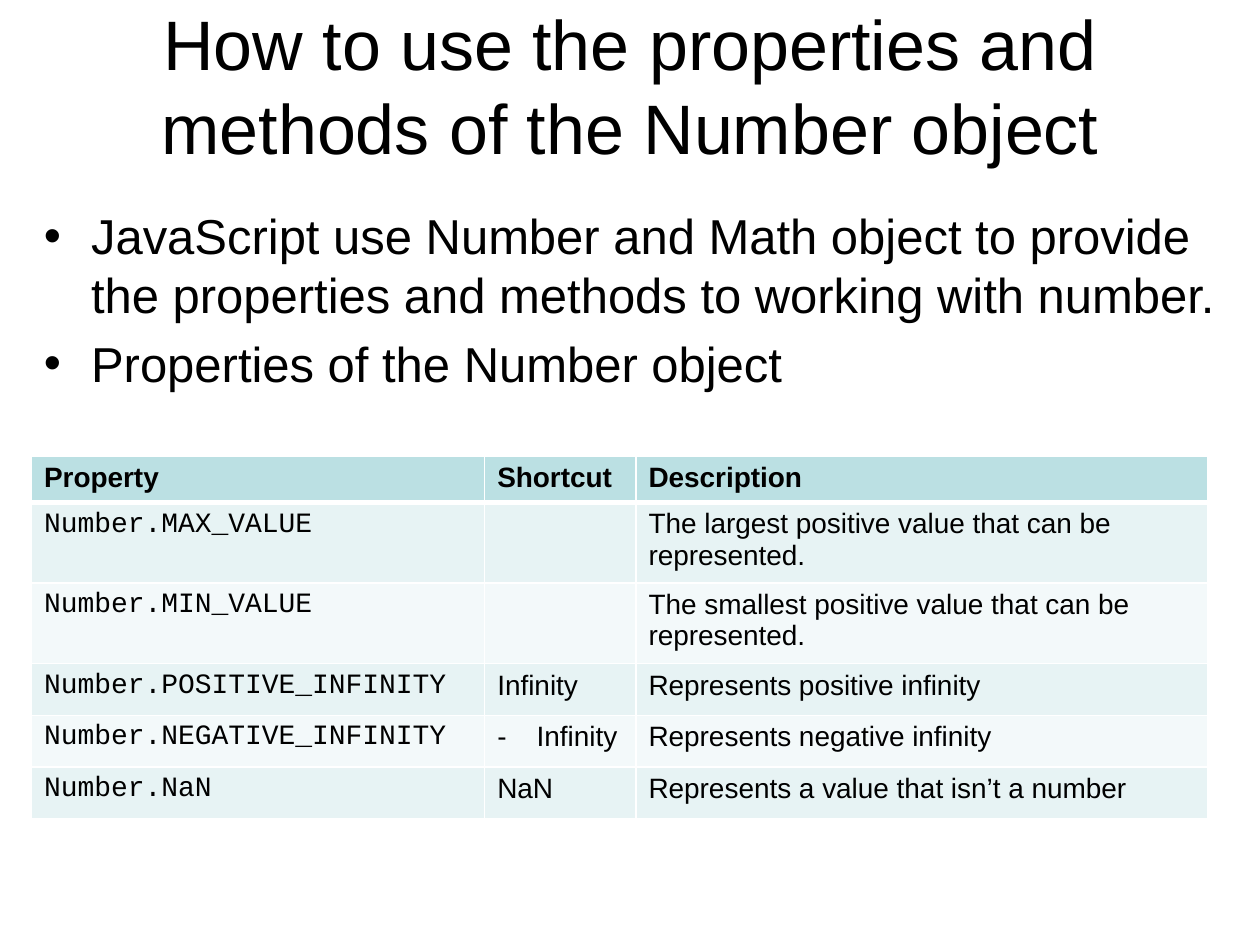
from lxml.etree import SubElement
from pptx import Presentation
from pptx.dml.color import RGBColor
from pptx.enum.text import MSO_ANCHOR, PP_ALIGN
from pptx.oxml.ns import qn
from pptx.util import Pt

SANS, MONO = "Arial", "Courier New"
BLACK, WHITE = "000000", "FFFFFF"
HEADER, BAND_DARK, BAND_LIGHT = "BBE0E3", "E7F3F4", "F3F9FA"


def color(hex_code):
    return RGBColor.from_string(hex_code)


class SlideBuilder:
    """Holds the text style and the current slide."""

    def __init__(self, slide, ink=BLACK):
        self.slide = slide
        self.ink = ink

    def add_run(self, paragraph, text, size, font=SANS, bold=False):
        run = paragraph.add_run()
        run.text = text
        run.font.size = Pt(size)
        run.font.name = font
        run.font.bold = bold
        run.font.color.rgb = color(self.ink)

    def bullet(self, paragraph, mark, indent):
        props = paragraph._p.get_or_add_pPr()
        props.set("marL", str(Pt(indent)))
        props.set("indent", str(-Pt(indent)))
        SubElement(props, qn("a:buFont"), typeface=SANS)
        SubElement(props, qn("a:buChar"), char=mark)

    def text_frame(self, left, top, width, height):
        box = self.slide.shapes.add_textbox(Pt(left), Pt(top), Pt(width), Pt(height))
        box.fill.solid()
        box.fill.fore_color.rgb = color(WHITE)
        box.text_frame.word_wrap = True
        return box.text_frame

    def title(self, text, bounds, size):
        frame = self.text_frame(*bounds)
        frame.vertical_anchor = MSO_ANCHOR.MIDDLE
        heading = frame.paragraphs[0]
        heading.alignment = PP_ALIGN.CENTER
        self.add_run(heading, text, size)

    def bullet_list(self, points, bounds, size):
        frame = self.text_frame(*bounds)
        for index, point in enumerate(points):
            paragraph = frame.add_paragraph() if index else frame.paragraphs[0]
            paragraph.space_before = Pt(size * 0.2)
            self.bullet(paragraph, "•", 27)
            self.add_run(paragraph, point, size)

    def borders(self, cell, top, bottom):
        props = cell._tc.get_or_add_tcPr()
        for side, width in (("L", 1), ("R", 1), ("T", top), ("B", bottom)):
            line = SubElement(props, qn(f"a:ln{side}"), w=str(Pt(width)))
            fill = SubElement(line, qn("a:solidFill"))
            SubElement(fill, qn("a:srgbClr"), val=WHITE)

    def table(self, rows, left, top, widths, heights, size):
        grid = self.slide.shapes.add_table(
            len(rows), len(widths), Pt(left), Pt(top), Pt(sum(widths)), Pt(sum(heights))
        ).table
        for column, width in zip(grid.columns, widths):
            column.width = Pt(width)
        for r, (texts, height) in enumerate(zip(rows, heights)):
            grid.rows[r].height = Pt(height)
            band = HEADER if r == 0 else BAND_DARK if r % 2 else BAND_LIGHT
            for c, text in enumerate(texts):
                cell = grid.cell(r, c)
                self.borders(cell, 3 if r == 1 else 1, 3 if r == 0 else 1)
                cell.fill.solid()
                cell.fill.fore_color.rgb = color(band)
                paragraph = cell.text_frame.paragraphs[0]
                if text.startswith("-"):
                    self.bullet(paragraph, "-", 22.5)
                    text = text[1:]
                if text:
                    font = MONO if r and c == 0 else SANS
                    self.add_run(paragraph, text, size, font, r == 0)
                else:
                    paragraph.font.size = Pt(size)


def main():
    deck = Presentation()
    deck.slide_width, deck.slide_height = Pt(720), Pt(540)
    builder = SlideBuilder(deck.slides.add_slide(deck.slide_layouts[6]))

    # Introduction
    builder.bullet_list(
        [
            "JavaScript use Number and Math object to provide the properties "
            "and methods to working with number.",
            "Properties of the Number object",
        ],
        (18, 114, 690, 354),
        28,
    )

    # Title
    builder.title(
        "How to use the properties and methods of the Number object",
        (36, 6, 648, 84),
        40,
    )

    # Number properties; a leading "-" becomes a dash bullet
    properties = [
        ("Property", "Shortcut", "Description"),
        ("Number.MAX_VALUE", "", "The largest positive value that can be represented."),
        ("Number.MIN_VALUE", "", "The smallest positive value that can be represented."),
        ("Number.POSITIVE_INFINITY", "Infinity", "Represents positive infinity"),
        ("Number.NEGATIVE_INFINITY", "-Infinity", "Represents negative infinity"),
        ("Number.NaN", "NaN", "Represents a value that isn’t a number"),
    ]
    builder.table(
        properties, 18, 260.5, [259, 86.4, 326.6], [26.6] + [46.1] * 2 + [29.5] * 3, 16
    )

    deck.save("out.pptx")


if __name__ == "__main__":
    main()
